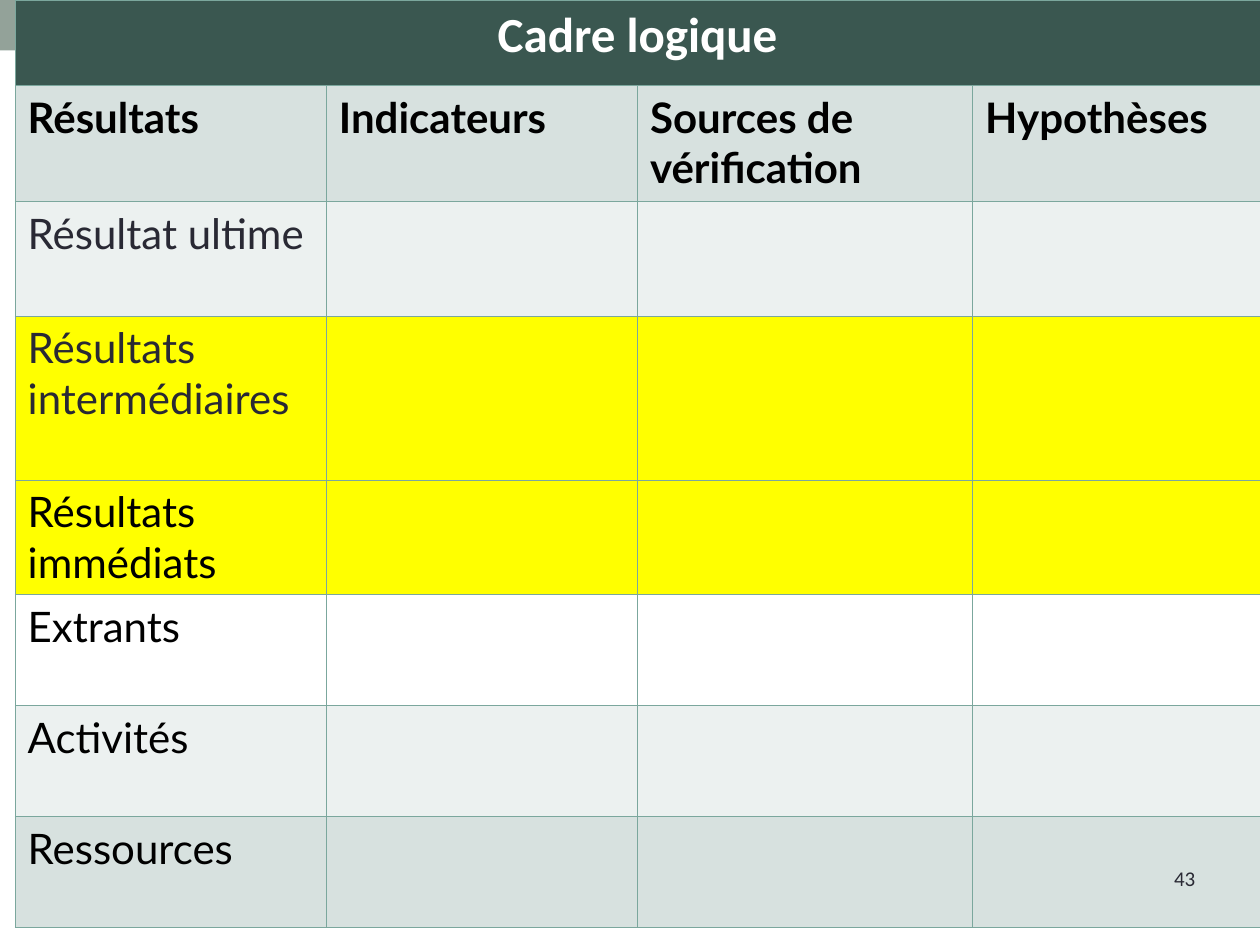
import pptx
import pptx.util
import pptx.oxml
import pptx.oxml.ns
import pptx.dml.color
import pptx.enum.shapes
import pptx.enum.text

Inches, Pt = pptx.util.Inches, pptx.util.Pt
RGB = pptx.dml.color.RGBColor.from_string
LEFT, CENTER = pptx.enum.text.PP_ALIGN.LEFT, pptx.enum.text.PP_ALIGN.CENTER

# Content: row height, fill, text style, cell texts
FRAMEWORK = [
    (0.68, "title", "title", ["Cadre logique"]),
    (0.92, "mid", "heading",
     ["Résultats", "Indicateurs", "Sources de vérification", "Hypothèses"]),
    (0.91, "pale", "result", ["Résultat ultime"]),
    (1.3, "highlight", "result", ["Résultats intermédiaires"]),
    (0.91, "highlight", "body", ["Résultats immédiats"]),
    (0.88, None, "body", ["Extrants"]),
    (0.88, "pale", "body", ["Activités"]),
    (0.88, "mid", "body", ["Ressources"]),
]
COLUMN_WIDTHS = [2.47, 2.47, 2.66, 2.28]
PAGE_NUMBER = "43"

THEME = {
    "fills": {"title": "3A5750", "mid": "D7E1DF", "pale": "ECF1F0",
              "highlight": "FFFF00", "band": "93A299"},
    "border": {"color": "7BA79D", "width": 0.45},
    "text": {
        "title": {"name": "Calibri", "size": Pt(28), "bold": True, "color": "FFFFFF"},
        "heading": {"name": "Lato", "size": Pt(24), "bold": True, "color": "000000"},
        "result": {"name": "Lato", "size": Pt(24), "bold": False, "color": "292934"},
        "body": {"name": "Lato", "size": Pt(24), "bold": False, "color": "000000"},
        "page": {"name": "Calibri", "size": Pt(12), "bold": False, "color": "292934"},
    },
}


def write(frame, text, style, align=LEFT):
    paragraph = frame.paragraphs[0]
    paragraph.alignment = align
    run = paragraph.add_run()
    run.text = text
    for key, value in THEME["text"][style].items():
        if key == "color":
            run.font.color.rgb = RGB(value)
        else:
            setattr(run.font, key, value)


def paint(fill, name):
    if name is None:
        fill.background()
    else:
        fill.solid()
        fill.fore_color.rgb = RGB(THEME["fills"][name])


def add_borders(cell):
    properties = cell._tc.get_or_add_tcPr()
    border = THEME["border"]
    for position, side in enumerate(("lnL", "lnR", "lnT", "lnB")):
        properties.insert(position, pptx.oxml.parse_xml(
            f'<a:{side} {pptx.oxml.ns.nsdecls("a")} w="{Pt(border["width"])}">'
            f'<a:solidFill><a:srgbClr val="{border["color"]}"/></a:solidFill>'
            f'</a:{side}>'))


deck = pptx.Presentation()
deck.slide_width, deck.slide_height = Inches(10), Inches(7.5)
slide = deck.slides.add_slide(deck.slide_layouts[6])

# Top band
band = slide.shapes.add_shape(pptx.enum.shapes.MSO_SHAPE.RECTANGLE,
                              0, 0, deck.slide_width, Inches(0.4))
band.shadow.inherit = False
paint(band.fill, "band")
band.line.fill.background()

# Logical framework table
heights = [row[0] for row in FRAMEWORK]
framework = slide.shapes.add_table(
    len(heights), len(COLUMN_WIDTHS), Inches(0.12), 0,
    Inches(sum(COLUMN_WIDTHS)), Inches(sum(heights))).table
framework.horz_banding = False
for column, width in zip(framework.columns, COLUMN_WIDTHS):
    column.width = Inches(width)
for row, (height, fill, style, texts) in zip(framework.rows, FRAMEWORK):
    row.height = Inches(height)
    for cell in row.cells:
        paint(cell.fill, fill)
        add_borders(cell)
    for cell, text in zip(row.cells, texts):
        write(cell.text_frame, text, style, CENTER if style == "title" else LEFT)
framework.cell(0, 0).merge(framework.cell(0, len(COLUMN_WIDTHS) - 1))

# Page number
page = slide.shapes.add_textbox(Inches(9.22), Inches(6.82), Inches(0.49), Inches(0.3))
page.text_frame.word_wrap = True
page.text_frame.auto_size = pptx.enum.text.MSO_AUTO_SIZE.SHAPE_TO_FIT_TEXT
write(page.text_frame, PAGE_NUMBER, "page")

deck.save("out.pptx")
